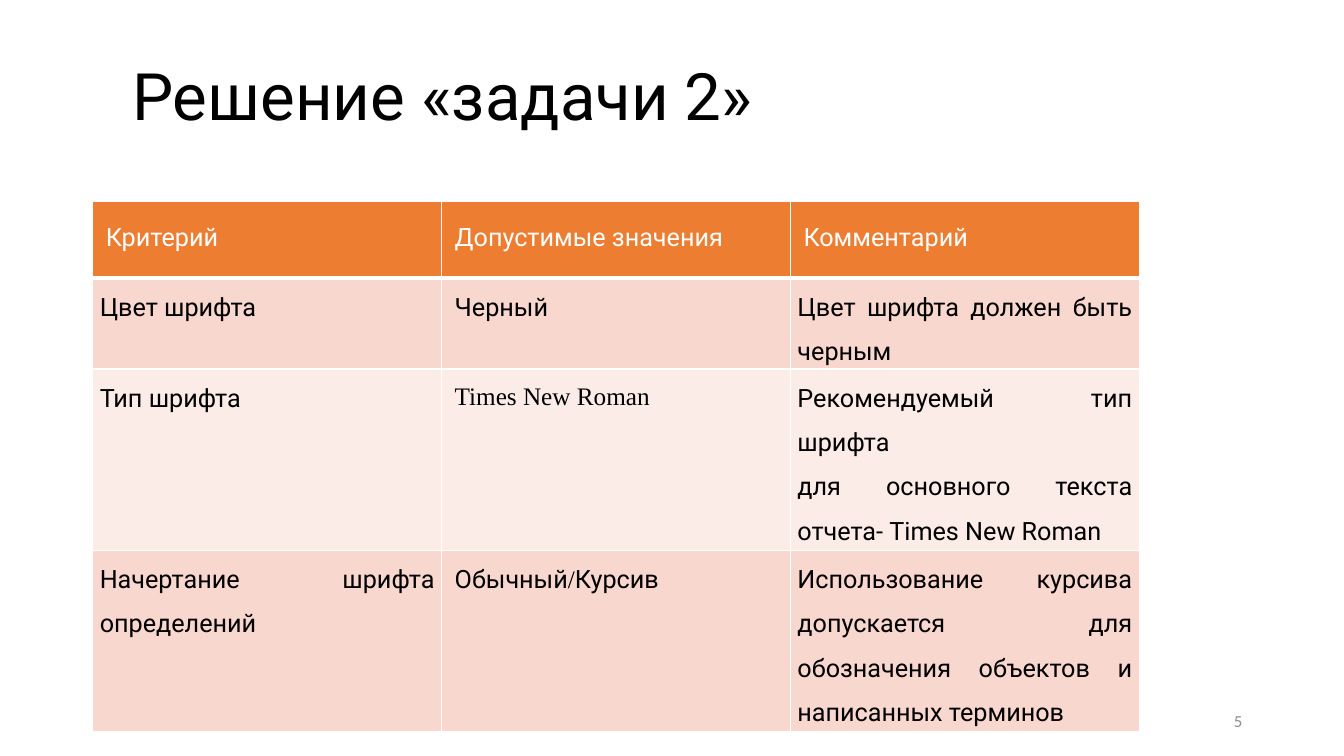
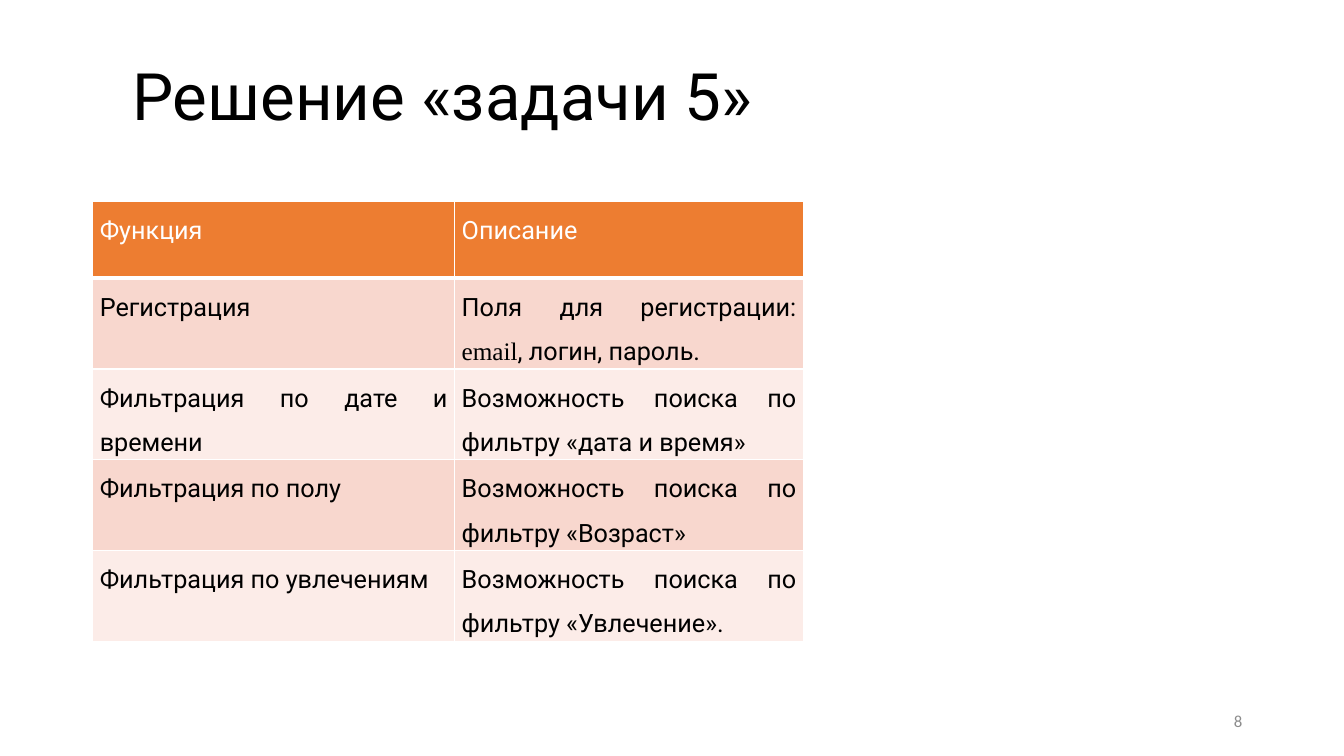
import dataclasses

import lxml.etree
import pptx
import pptx.dml.color
import pptx.enum.text
import pptx.oxml.ns
import pptx.presentation
import pptx.slide
import pptx.table
import pptx.text.text
import pptx.util

Inches = pptx.util.Inches
Pt = pptx.util.Pt
RGBColor = pptx.dml.color.RGBColor
Align = pptx.enum.text.PP_ALIGN
Anchor = pptx.enum.text.MSO_ANCHOR

BLACK = RGBColor(0x00, 0x00, 0x00)
WHITE = RGBColor(0xFF, 0xFF, 0xFF)
GRAY = RGBColor(0x8C, 0x8C, 0x8C)
ORANGE = RGBColor(0xED, 0x7D, 0x31)
BANDS = (RGBColor(0xF8, 0xD7, 0xCE), RGBColor(0xFC, 0xEC, 0xE8))

MAIN_FONT = "Roboto"
SERIF_FONT = "Times New Roman"
NUMBER_FONT = "Calibri"

TABLE_LEFT = Inches(0.92)
TABLE_TOP = Inches(2)
ROW_HEIGHT = Inches(0.76)
NARROW_INSET = Inches(0.07)
WIDE_INSET = Inches(0.13)
NO_INSET = Inches(0)


@dataclasses.dataclass(frozen=True)
class Run:
    text: str
    font: str = MAIN_FONT


Paragraph = tuple[Run, ...]
Cell = tuple[Paragraph, ...]


@dataclasses.dataclass(frozen=True)
class Column:
    heading: str
    width: pptx.util.Length
    inset: pptx.util.Length = NARROW_INSET


@dataclasses.dataclass(frozen=True)
class Solution:
    title: str
    number: int
    columns: tuple[Column, ...]
    rows: tuple[tuple[Cell, ...], ...]
    heading_inset: pptx.util.Length = NARROW_INSET
    heading_top: pptx.util.Length = NO_INSET


def plain(*lines: str) -> Cell:
    return tuple((Run(line),) for line in lines)


SOLUTIONS = (
    Solution(
        title="Решение «задачи 2»",
        number=5,
        columns=(
            Column("Критерий", Inches(3.46)),
            Column("Допустимые значения", Inches(3.46), WIDE_INSET),
            Column("Комментарий", Inches(3.46)),
        ),
        rows=(
            (plain("Цвет шрифта"), plain("Черный"), plain("Цвет шрифта должен быть черным")),
            (
                plain("Тип шрифта"),
                ((Run("Times New Roman", SERIF_FONT),),),
                plain(
                    "Рекомендуемый тип шрифта",
                    "для основного текста отчета- Times New Roman",
                ),
            ),
            (
                plain("Начертание шрифта определений"),
                ((Run("Обычный"), Run("/", SERIF_FONT), Run("Курсив")),),
                plain(
                    "Использование курсива допускается для обозначения "
                    "объектов и написанных терминов"
                ),
            ),
        ),
        heading_inset=WIDE_INSET,
        heading_top=Inches(0.07),
    ),
    Solution(
        title="Решение «задачи 5»",
        number=8,
        columns=(Column("Функция", Inches(3.59)), Column("Описание", Inches(3.46))),
        rows=(
            (
                plain("Регистрация"),
                (
                    (
                        Run("Поля для регистрации: "),
                        Run("email", SERIF_FONT),
                        Run(", логин, пароль."),
                    ),
                ),
            ),
            (
                plain("Фильтрация по дате и времени"),
                plain("Возможность поиска по фильтру «дата и время»"),
            ),
            (
                plain("Фильтрация по полу"),
                plain("Возможность поиска по фильтру «Возраст»"),
            ),
            (
                plain("Фильтрация по увлечениям"),
                plain("Возможность поиска по фильтру «Увлечение»."),
            ),
        ),
    ),
)


def add_run(
    paragraph: pptx.text.text._Paragraph, run: Run, size: float, color: RGBColor
) -> None:
    added = paragraph.add_run()
    added.text = run.text
    added.font.name = run.font
    added.font.size = Pt(size)
    added.font.bold = False
    added.font.color.rgb = color


def set_borders(cell: pptx.table._Cell, bottom_width: float) -> None:
    properties = cell._tc.get_or_add_tcPr()
    qn = pptx.oxml.ns.qn
    for side, width in (("L", 1), ("R", 1), ("T", 1), ("B", bottom_width)):
        line = lxml.etree.SubElement(properties, qn(f"a:ln{side}"), w=str(Pt(width)))
        fill = lxml.etree.SubElement(line, qn("a:solidFill"))
        lxml.etree.SubElement(fill, qn("a:srgbClr"), val=str(WHITE))


def fill_cell(
    cell: pptx.table._Cell,
    content: Cell,
    background: RGBColor,
    color: RGBColor,
    align: Align,
    side_inset: pptx.util.Length,
    top_inset: pptx.util.Length = NO_INSET,
    bottom_border: float = 1,
) -> None:
    set_borders(cell, bottom_border)
    cell.fill.solid()
    cell.fill.fore_color.rgb = background
    cell.margin_left = side_inset
    cell.margin_right = NARROW_INSET
    cell.margin_top = cell.margin_bottom = top_inset
    frame = cell.text_frame
    for index, runs in enumerate(content):
        paragraph = frame.add_paragraph() if index else frame.paragraphs[0]
        paragraph.alignment = align
        paragraph.line_spacing = 1.5
        for run in runs:
            add_run(paragraph, run, 18, color)


def add_title(slide: pptx.slide.Slide, text: str) -> None:
    title = slide.shapes.title
    title.left, title.top = Inches(1.21), Inches(0.53)
    title.width, title.height = Inches(11.9), Inches(0.91)
    frame = title.text_frame
    frame.auto_size = pptx.enum.text.MSO_AUTO_SIZE.NONE
    frame.vertical_anchor = Anchor.MIDDLE
    paragraph = frame.paragraphs[0]
    paragraph.alignment = Align.LEFT
    paragraph.line_spacing = 0.9
    add_run(paragraph, Run(text), 46.7, BLACK)


def add_page_number(slide: pptx.slide.Slide, number: int) -> None:
    footer = slide.shapes.add_textbox(Inches(9.42), Inches(6.95), Inches(3), Inches(0.4))
    frame = footer.text_frame
    frame.word_wrap = True
    frame.vertical_anchor = Anchor.MIDDLE
    paragraph = frame.paragraphs[0]
    paragraph.alignment = Align.RIGHT
    add_run(paragraph, Run(str(number), NUMBER_FONT), 12, GRAY)


def add_criteria(slide: pptx.slide.Slide, solution: Solution) -> None:
    row_count = len(solution.rows) + 1
    table = slide.shapes.add_table(
        row_count,
        len(solution.columns),
        TABLE_LEFT,
        TABLE_TOP,
        sum(column.width for column in solution.columns),
        ROW_HEIGHT * row_count,
    ).table
    for row in table.rows:
        row.height = ROW_HEIGHT
    for index, column in enumerate(solution.columns):
        table.columns[index].width = column.width
        fill_cell(
            table.cell(0, index),
            plain(column.heading),
            ORANGE,
            WHITE,
            Align.LEFT,
            solution.heading_inset,
            solution.heading_top,
            bottom_border=3,
        )
        for row_index, contents in enumerate(solution.rows):
            fill_cell(
                table.cell(row_index + 1, index),
                contents[index],
                BANDS[row_index % len(BANDS)],
                BLACK,
                Align.JUSTIFY,
                column.inset,
            )


def add_solution(deck: pptx.presentation.Presentation, solution: Solution) -> None:
    slide = deck.slides.add_slide(deck.slide_layouts.get_by_name("Title Only"))
    add_title(slide, solution.title)
    add_page_number(slide, solution.number)
    add_criteria(slide, solution)


def main() -> None:
    deck = pptx.Presentation()
    deck.slide_width = Inches(13.33)
    deck.slide_height = Inches(7.5)
    for solution in SOLUTIONS:
        add_solution(deck, solution)
    deck.save("out.pptx")


if __name__ == "__main__":
    main()
